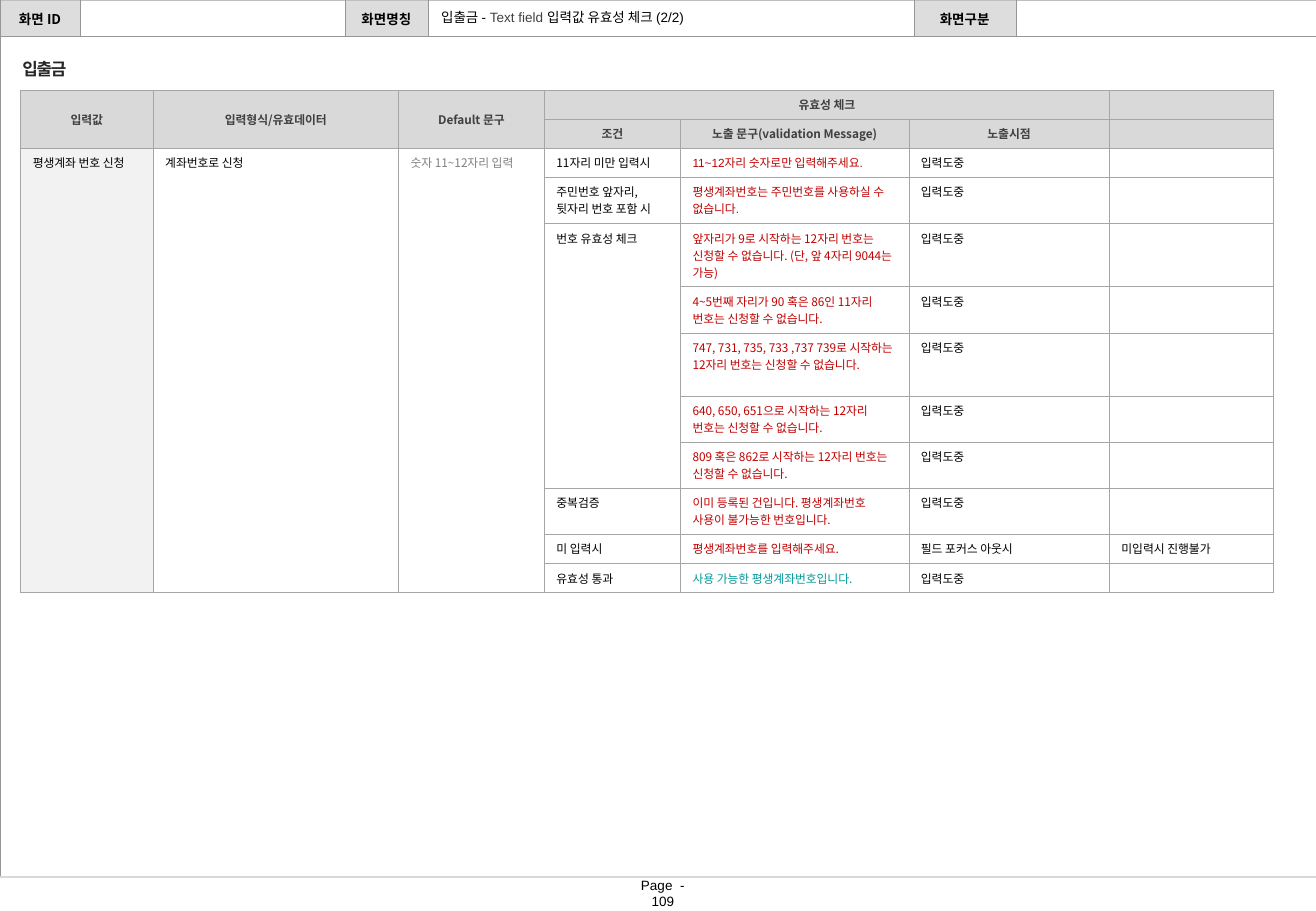
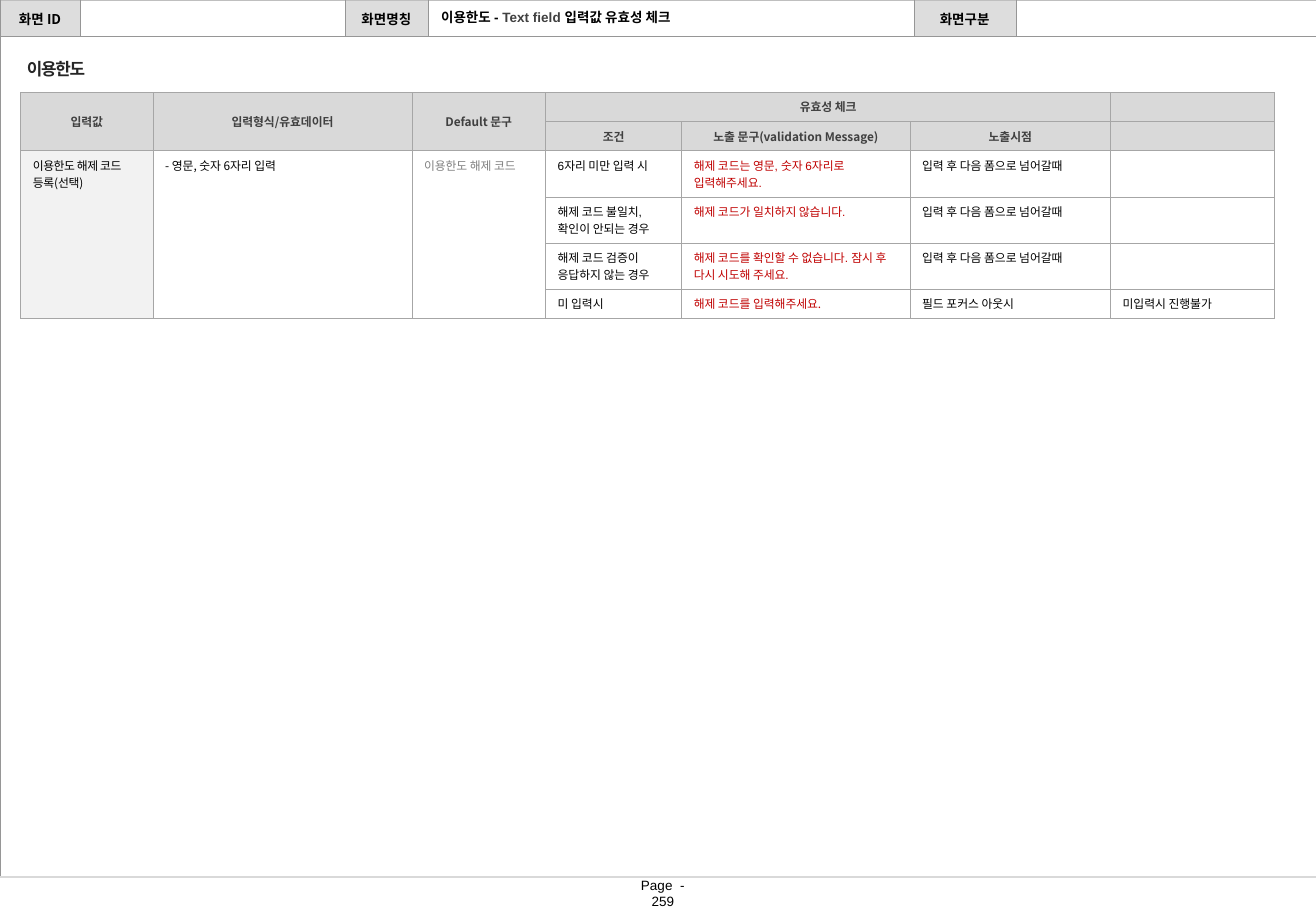
from collections import namedtuple

from lxml import etree
from pptx import Presentation
from pptx.dml.color import RGBColor
from pptx.enum.shapes import MSO_CONNECTOR as Connector
from pptx.enum.text import MSO_ANCHOR as Anchor, PP_ALIGN as Align
from pptx.oxml.ns import qn
from pptx.util import Emu, Pt

PX = 9144  # EMU per px, 100 px to the inch
WIDTH, HEIGHT = 1083, 750
HEADER_HEIGHT, FOOTER_TOP = 30, 722
HEADER_COLUMNS = (66, 218, 68, 400, 84, 247)
HEADER_LABELS = ("화면 ID", "", "화면명칭", "", "화면구분", "")
ROW_HEIGHT, EXTRA_LINE = 24, 14

BLACK = RGBColor(0x00, 0x00, 0x00)
WHITE = RGBColor(0xFF, 0xFF, 0xFF)
TITLE_INK = RGBColor(0x26, 0x26, 0x26)
HEAD_INK = RGBColor(0x40, 0x40, 0x40)
HINT_INK = RGBColor(0x80, 0x80, 0x80)
RED = RGBColor(0xC0, 0x00, 0x00)
TEAL = RGBColor(0x00, 0x99, 0x99)
LABEL_FILL = RGBColor(0xDD, 0xDD, 0xDD)
HEAD_FILL = RGBColor(0xD9, 0xD9, 0xD9)
ENTRY_FILL = RGBColor(0xF2, 0xF2, 0xF2)
GRID_LINE = RGBColor(0xA6, 0xA6, 0xA6)
FRAME_LINE = RGBColor(0x96, 0x96, 0x96)
TOP_LINE = RGBColor(0xBF, 0xBF, 0xBF)

NOTO, ARIAL = "Noto Sans CJK KR", "Arial"

# A check without a condition belongs to the condition above it.
Check = namedtuple(
    "Check", "lines condition message moment note ink condition_font message_font",
    defaults=("입력도중", "", RED, NOTO, NOTO))
Section = namedtuple(
    "Section", "number title title_left title_width name_end bold "
               "table_top columns entry entry_spacing format hint checks")


def px(length):
    return Emu(length * PX)


def write(frame, text, size=7, font=NOTO, colour=BLACK, bold=False, align=Align.LEFT, spacing=0):
    """Fill the first paragraph; text is a string or a list of (text, colour)."""
    para = frame.paragraphs[0]
    para.alignment = align
    for words, ink in ([(text, colour)] if isinstance(text, str) else text):
        if not words:
            etree.SubElement(para._p, qn("a:endParaRPr"), sz=str(size * 100))
            continue
        span = para.add_run()
        span.text = words
        span.font.size, span.font.bold = Pt(size), bold
        span.font.name = font
        span.font.color.rgb = ink
        properties = span.font._element
        etree.SubElement(properties, qn("a:ea"), typeface=NOTO)
        if spacing:
            properties.set("spc", str(spacing))


def border(cell, colour, top=None):
    """Thin lines on four sides; top may be another (colour, points)."""
    thin = (colour, 0.25)
    sides = {"L": thin, "R": thin, "T": top or thin, "B": thin}
    for side, (ink, points) in sides.items():
        line = etree.SubElement(cell._tc.get_or_add_tcPr(), qn(f"a:ln{side}"), w=str(Pt(points)))
        fill = etree.SubElement(line, qn("a:solidFill"))
        etree.SubElement(fill, qn("a:srgbClr"), val=str(ink))


class Deck:
    def __init__(self):
        self.deck = Presentation()
        self.deck.slide_width, self.deck.slide_height = px(WIDTH), px(HEIGHT)
        self.page = None

    def new_page(self):
        self.page = self.deck.slides.add_slide(self.deck.slide_layouts[6])

    def table(self, left, top, columns, rows):
        frame = self.page.shapes.add_table(
            len(rows), len(columns), px(left), px(top), px(sum(columns)), px(sum(rows)))
        grid = frame.table
        grid.first_row = grid.horz_banding = False
        for column, width in zip(grid.columns, columns):
            column.width = px(width)
        for row, height in zip(grid.rows, rows):
            row.height = px(height)
        return grid

    def cell(self, cell, text, fill, anchor=Anchor.TOP, inset=10, **style):
        cell.fill.solid()
        cell.fill.fore_color.rgb = fill
        cell.vertical_anchor = anchor
        cell.margin_left = cell.margin_right = px(inset)
        cell.margin_top = cell.margin_bottom = px(5)
        write(cell.text_frame, text, **style)

    def text(self, left, top, width, height, text, anchor=Anchor.MIDDLE,
             insets=(0, 0), wrap=False, **style):
        box = self.page.shapes.add_textbox(px(left), px(top), px(width), px(height))
        frame = box.text_frame
        frame.word_wrap, frame.vertical_anchor = wrap, anchor
        frame.margin_left = frame.margin_right = px(insets[0])
        frame.margin_top = frame.margin_bottom = px(insets[1])
        write(frame, text, **style)

    def rule(self, top):
        line = self.page.shapes.add_connector(
            Connector.STRAIGHT, px(0), px(top), px(WIDTH), px(top))
        line.line.color.rgb, line.line.width = HEAD_FILL, Pt(0.75)
        etree.SubElement(line._element.spPr, qn("a:effectLst"))

    def frame(self, number):
        """Header band, page body outline and footer."""
        grid = self.table(0, 0, HEADER_COLUMNS, (HEADER_HEIGHT, FOOTER_TOP - HEADER_HEIGHT))
        for column, label in enumerate(HEADER_LABELS):
            head, body = grid.cell(0, column), grid.cell(1, column)
            border(head, FRAME_LINE, top=(TOP_LINE, 1))
            border(body, FRAME_LINE)
            self.cell(head, label, LABEL_FILL if label else WHITE, Anchor.MIDDLE,
                      inset=8, size=8, bold=True, align=Align.CENTER)
            body.fill.background()
        grid.cell(1, 0).merge(grid.cell(1, len(HEADER_COLUMNS) - 1))
        self.text(522, 721, 47, 29, f"Page  - {number}", size=8, font=ARIAL, align=Align.CENTER)
        self.rule(FOOTER_TOP)

    def checks(self, section):
        """Validation table: two heading rows, then one row per check."""
        heights = [ROW_HEIGHT] * 2
        heights += [ROW_HEIGHT + EXTRA_LINE * (check.lines - 1) for check in section.checks]
        grid = self.table(17, section.table_top, section.columns, heights)
        for cell in grid.iter_cells():
            border(cell, GRID_LINE)

        headings = (("입력값", "입력형식/유효데이터", "Default 문구", "유효성 체크", "", "", ""),
                    ("", "", "", "조건", "노출 문구(validation Message)", "노출시점", ""))
        for row, labels in enumerate(headings):
            for column, label in enumerate(labels):
                self.cell(grid.cell(row, column), label, HEAD_FILL, Anchor.MIDDLE,
                          colour=HEAD_INK, bold=True, align=Align.CENTER)

        last = len(heights) - 1
        condition_row = 2
        for row, check in enumerate(section.checks, start=2):
            first = row == 2
            if check.condition:
                condition_row = row
            self.cell(grid.cell(row, 0), section.entry if first else "", ENTRY_FILL,
                      spacing=section.entry_spacing)
            self.cell(grid.cell(row, 1), section.format if first else "", WHITE)
            self.cell(grid.cell(row, 2), section.hint if first else "", WHITE, colour=HINT_INK)
            self.cell(grid.cell(row, 3), check.condition, WHITE, font=check.condition_font)
            self.cell(grid.cell(row, 4), check.message, WHITE,
                      font=check.message_font, colour=check.ink)
            self.cell(grid.cell(row, 5), check.moment, WHITE)
            self.cell(grid.cell(row, 6), check.note, WHITE)
            next_check = section.checks[row - 1] if row < last else None
            if row > condition_row and (next_check is None or next_check.condition):
                grid.cell(condition_row, 3).merge(grid.cell(row, 3))

        grid.cell(0, 3).merge(grid.cell(0, 5))
        for column in range(3):
            grid.cell(0, column).merge(grid.cell(1, column))
            grid.cell(2, column).merge(grid.cell(last, column))

    def section(self, section):
        self.new_page()
        self.frame(section.number)
        self.checks(section)
        self.text(section.title_left, 48, section.title_width, 17, section.title,
                  Anchor.TOP, size=10, colour=TITLE_INK, bold=True,
                  align=Align.CENTER, spacing=-70)
        name = [(f"{section.title} - ", BLACK), ("Text field ", HEAD_INK),
                (section.name_end, BLACK)]
        self.text(352, 2, 391, 24, name, insets=(11, 5), wrap=True,
                  size=8, font=ARIAL, bold=section.bold)


NEXT_FORM, FOCUS_OUT = "입력 후 다음 폼으로 넘어갈때", "필드 포커스 아웃시"
REQUIRED = "미입력시 진행불가"

SECTIONS = (
    Section(
        109, "입출금", 17, 39, "입력값 유효성 체크 (2/2)", False,
        74, (109, 202, 120, 112, 188, 165, 135),
        "평생계좌 번호 신청", 0, "계좌번호로 신청", "숫자 11~12자리 입력",
        (Check(1, "11자리 미만 입력시", "11~12자리 숫자로만 입력해주세요.", message_font=ARIAL),
         Check(2, "주민번호 앞자리, 뒷자리 번호 포함 시",
               "평생계좌번호는 주민번호를 사용하실 수 없습니다.", message_font=ARIAL),
         Check(3, "번호 유효성 체크",
               "앞자리가 9로 시작하는 12자리 번호는 신청할 수 없습니다. (단, 앞 4자리 9044는 가능)"),
         Check(2, "", "4~5번째 자리가 90 혹은 86인 11자리 번호는 신청할 수 없습니다."),
         Check(3, "", "747, 731, 735, 733 ,737 739로 시작하는 12자리 번호는 신청할 수 없습니다."),
         Check(2, "", "640, 650, 651으로 시작하는 12자리 번호는 신청할 수 없습니다."),
         Check(2, "", "809 혹은 862로 시작하는 12자리 번호는 신청할 수 없습니다."),
         Check(2, "중복검증", "이미 등록된 건입니다. 평생계좌번호 사용이 불가능한 번호입니다."),
         Check(1, "미 입력시", "평생계좌번호를 입력해주세요.", FOCUS_OUT, REQUIRED),
         Check(1, "유효성 통과", "사용 가능한 평생계좌번호입니다.", ink=TEAL))),
    Section(
        259, "이용한도", 20, 52, "입력값 유효성 체크", True,
        76, (109, 213, 110, 112, 188, 165, 135),
        "이용한도 해제 코드 등록(선택)", -20, "- 영문, 숫자 6자리 입력", "이용한도 해제 코드",
        (Check(2, "6자리 미만 입력 시", "해제 코드는 영문, 숫자 6자리로 입력해주세요.", NEXT_FORM,
               condition_font=ARIAL, message_font=ARIAL),
         Check(2, "해제 코드 불일치, 확인이 안되는 경우", "해제 코드가 일치하지 않습니다.", NEXT_FORM,
               condition_font=ARIAL, message_font=ARIAL),
         Check(2, "해제 코드 검증이 응답하지 않는 경우",
               "해제 코드를 확인할 수 없습니다. 잠시 후 다시 시도해 주세요.", NEXT_FORM,
               condition_font=ARIAL, message_font=ARIAL),
         Check(1, "미 입력시", "해제 코드를 입력해주세요.", FOCUS_OUT, REQUIRED))),
)


def main():
    deck = Deck()
    for section in SECTIONS:
        deck.section(section)
    deck.deck.save("out.pptx")


if __name__ == "__main__":
    main()
